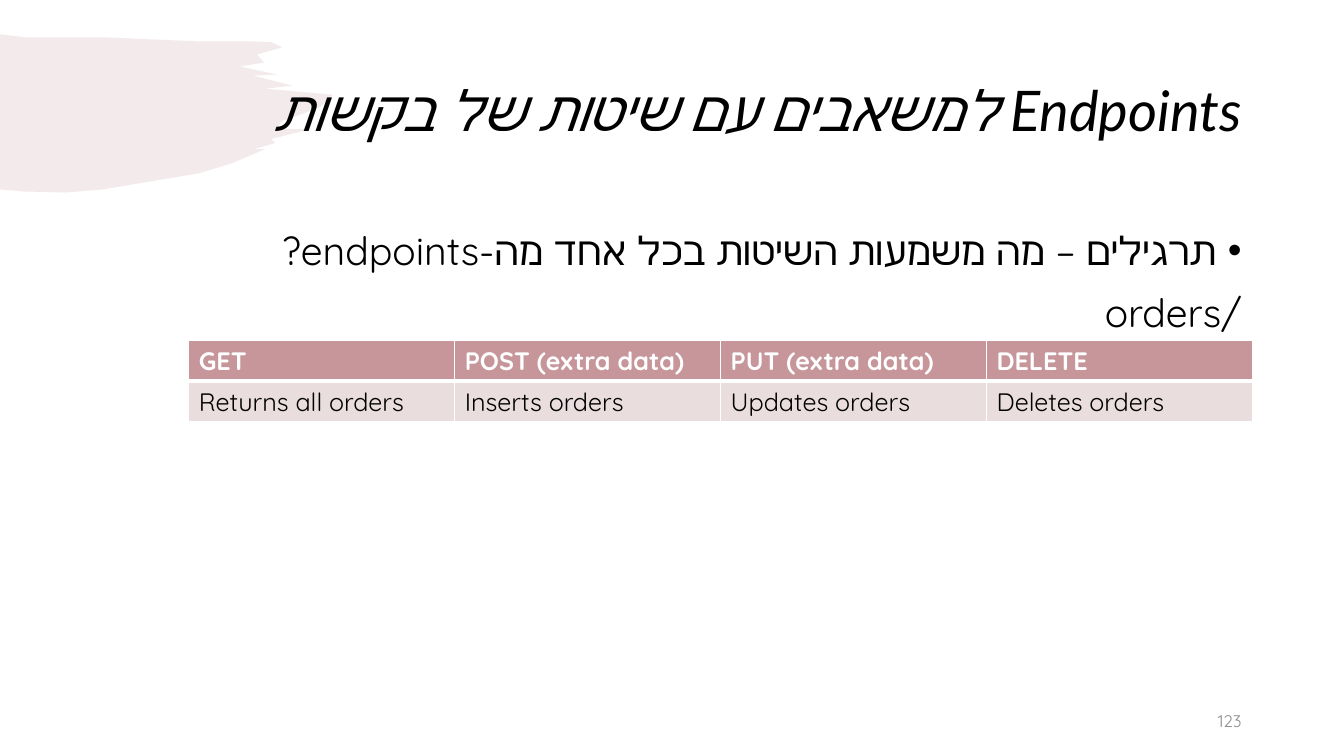
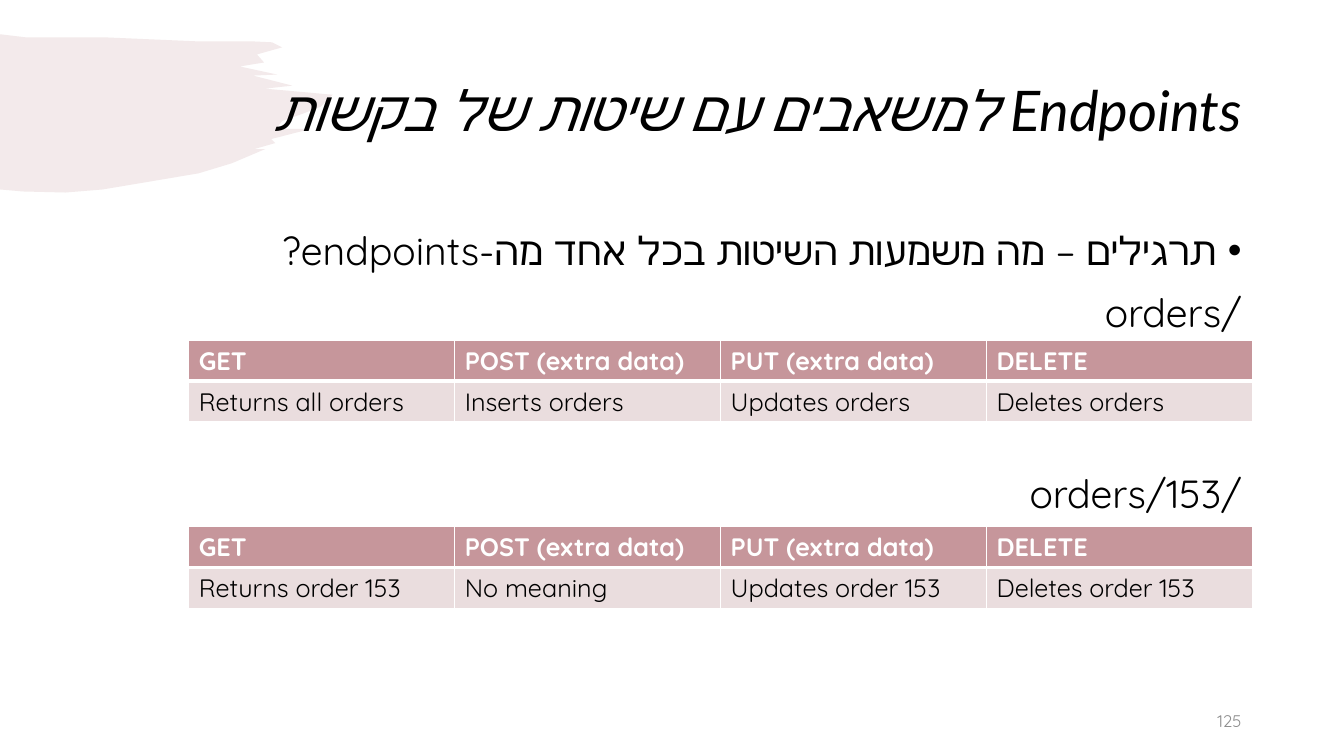
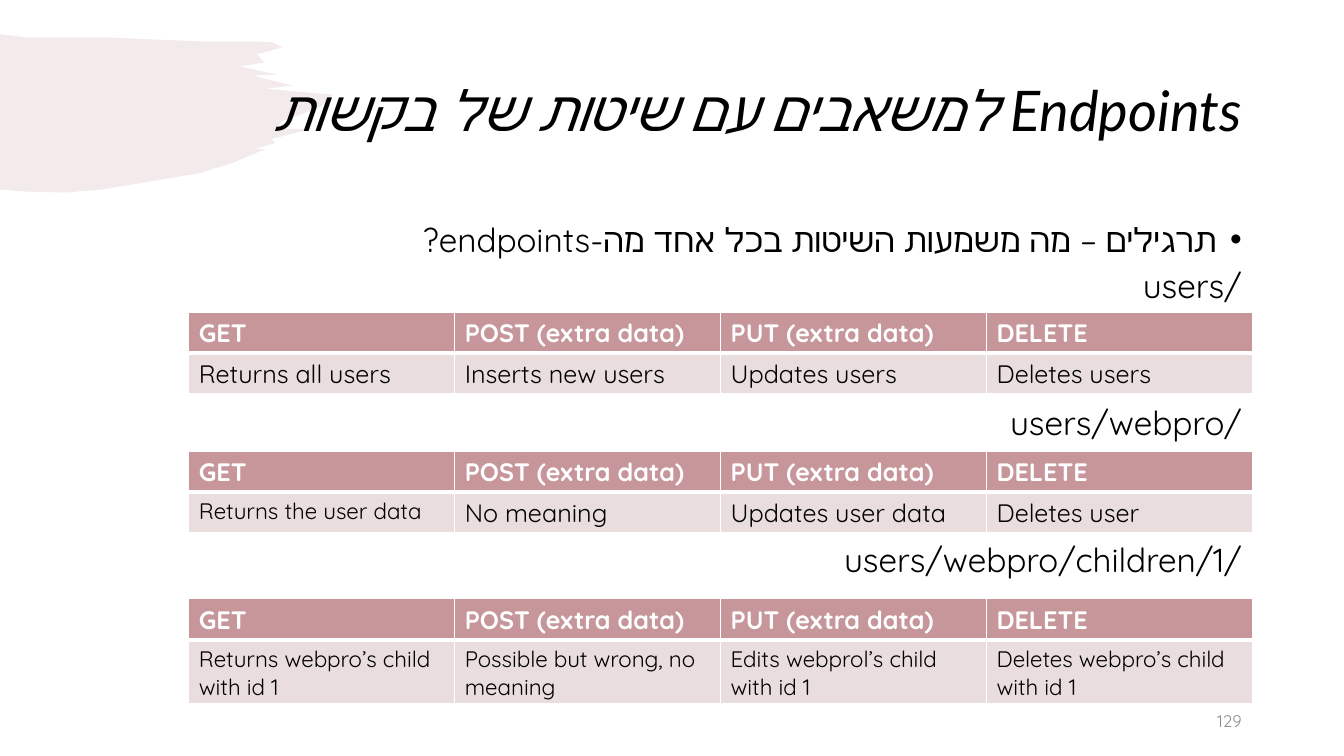
import lxml.etree
import pptx
import pptx.dml.color
import pptx.enum.text
import pptx.oxml.ns
import pptx.util

Cm = pptx.util.Cm
Pt = pptx.util.Pt
RGBColor = pptx.dml.color.RGBColor
ALIGN = pptx.enum.text.PP_ALIGN
ANCHOR = pptx.enum.text.MSO_ANCHOR
qn = pptx.oxml.ns.qn

# Shared look
BLACK = RGBColor(0x00, 0x00, 0x00)
WHITE = RGBColor(0xFF, 0xFF, 0xFF)
GREY = RGBColor(0x8C, 0x8C, 0x8C)
ROSE = RGBColor(0xC6, 0x96, 0x9B)
PALE_ROSE = RGBColor(0xEA, 0xDD, 0xDE)
TITLE_FONT = "Lato"
BODY_FONT = "Quicksand"

# Boxes: left, top, width, height in centimetres
TITLE_BOX = (2.33, 1.01, 29.21, 3.68)
BODY_BOX = (2.33, 5.59, 29.21, 11.56)
NUMBER_BOX = (23.92, 17.65, 7.62, 1.02)
TABLE_LEFT, COLUMN_WIDTH, ROW_HEIGHT = 4.76, 6.7, 1.03

# Shared wording
TITLE = "Endpoints למשאבים עם שיטות של בקשות"
QUESTION = "תרגילים – מה משמעות השיטות בכל אחד מה-endpoints?"
METHODS = ("GET", "POST (extra data)", "PUT (extra data)", "DELETE")

# Brush stroke outline, clockwise, in hundredths of an inch
BRUSH_UNIT = Cm(2.54) / 100
BRUSH_OUTLINE = (
    (0, 34), (25, 37), (102, 37), (194, 41), (248, 41), (270, 42), (280, 47),
    (255, 54), (262, 62), (238, 66), (275, 74), (251, 75), (290, 85), (263, 88),
    (330, 94), (318, 106), (300, 113), (280, 120), (274, 128), (308, 128),
    (269, 138), (273, 142), (252, 148), (263, 148), (230, 162), (197, 172),
    (102, 188), (65, 191), (23, 190), (0, 188),
)


def write_text(paragraph, text, *, font=BODY_FONT, size=18, color=BLACK, bold=False,
               italic=False, align=ALIGN.LEFT, rtl=False, bullet=None,
               space_before=0, line_spacing=None):
    """Fill one paragraph with formatted text."""
    properties = paragraph._p.get_or_add_pPr()
    if rtl:
        properties.set("rtl", "1")
    if bullet:
        properties.set("marL", str(Cm(0.63)))
        properties.set("indent", str(-Cm(0.63)))
        lxml.etree.SubElement(properties, qn("a:buFont"), typeface="Arial")
        lxml.etree.SubElement(properties, qn("a:buChar"), char=bullet)
    paragraph.alignment = align
    if space_before:
        paragraph.space_before = Pt(space_before)
    if line_spacing:
        paragraph.line_spacing = line_spacing
    run = paragraph.add_run()
    run.text = text
    run.font.name = font
    run.font.size = Pt(size)
    run.font.bold = bold
    run.font.italic = italic
    run.font.color.rgb = color
    # Hebrew letters take the complex-script font
    lxml.etree.SubElement(run._r.get_or_add_rPr(), qn("a:cs"), typeface=font)


def add_text_box(slide, box, anchor):
    """Add a wrapping text box and return its text frame."""
    frame = slide.shapes.add_textbox(*map(Cm, box)).text_frame
    frame.word_wrap = True
    frame.vertical_anchor = anchor
    return frame


def add_brush(slide):
    """Draw the pale brush stroke behind the title."""
    start, *others = BRUSH_OUTLINE
    builder = slide.shapes.build_freeform(*start, scale=BRUSH_UNIT)
    builder.add_line_segments(others, close=True)
    brush = builder.convert_to_shape()
    brush.shadow.inherit = False
    brush.line.fill.background()
    brush.fill.solid()
    brush.fill.fore_color.rgb = ROSE
    color = brush._element.spPr.find(".//" + qn("a:srgbClr"))
    lxml.etree.SubElement(color, qn("a:alpha"), val="20000")


def set_borders(cell, bottom):
    """Give a cell white borders, with its own width at the bottom."""
    properties = cell._tc.get_or_add_tcPr()
    for side, width in (("L", 1), ("R", 1), ("T", 1), ("B", bottom)):
        line = lxml.etree.SubElement(properties, qn("a:ln" + side), w=str(Pt(width)))
        fill = lxml.etree.SubElement(line, qn("a:solidFill"))
        lxml.etree.SubElement(fill, qn("a:srgbClr"), val=str(WHITE))


def add_method_table(slide, top, meanings, sizes=(18,) * len(METHODS),
                     meaning_height=ROW_HEIGHT):
    """Add a table of request methods and their meanings."""
    table = slide.shapes.add_table(
        2, len(METHODS), Cm(TABLE_LEFT), Cm(top),
        Cm(COLUMN_WIDTH * len(METHODS)), Cm(ROW_HEIGHT + meaning_height)).table
    for column in table.columns:
        column.width = Cm(COLUMN_WIDTH)
    header = (METHODS, (18,) * len(METHODS), ROW_HEIGHT, ROSE, WHITE, True, 3)
    body = (meanings, sizes, meaning_height, PALE_ROSE, BLACK, False, 1)
    for row, (texts, text_sizes, height, fill, color, bold, bottom) in zip(
            table.rows, (header, body)):
        row.height = Cm(height)
        for cell, text, size in zip(row.cells, texts, text_sizes):
            set_borders(cell, bottom)
            cell.fill.solid()
            cell.fill.fore_color.rgb = fill
            write_text(cell.text_frame.paragraphs[0], text, size=size, color=color, bold=bold)


def add_body(slide, endpoints, gap, size, line_spacing):
    """Write the question and, under it, the endpoints spread by a gap."""
    frame = add_text_box(slide, BODY_BOX, ANCHOR.TOP)
    style = dict(size=size, line_spacing=line_spacing, align=ALIGN.RIGHT, rtl=True)
    write_text(frame.paragraphs[0], QUESTION, bullet="•", **style)
    for index, endpoint in enumerate(endpoints):
        write_text(frame.add_paragraph(), endpoint,
                   space_before=gap if index else 10, **style)


def add_exercise(presentation, number, endpoints, tables, gap=96, size=28, line_spacing=None):
    """Build one exercise slide."""
    slide = presentation.slides.add_slide(presentation.slide_layouts[6])
    add_brush(slide)
    write_text(add_text_box(slide, TITLE_BOX, ANCHOR.MIDDLE).paragraphs[0], TITLE,
               font=TITLE_FONT, size=40, italic=True, align=ALIGN.RIGHT, rtl=True,
               line_spacing=0.9)
    add_body(slide, endpoints, gap, size, line_spacing)
    write_text(add_text_box(slide, NUMBER_BOX, ANCHOR.MIDDLE).paragraphs[0], str(number),
               size=12, color=GREY, align=ALIGN.RIGHT)
    for table in tables:
        add_method_table(slide, **table)


def main():
    presentation = pptx.Presentation()
    presentation.slide_width = Cm(33.87)
    presentation.slide_height = Cm(19.05)

    # Orders
    all_orders = dict(top=8.57, meanings=(
        "Returns all orders", "Inserts orders", "Updates orders", "Deletes orders"))
    one_order = dict(top=13.27, meanings=(
        "Returns order 153", "No meaning", "Updates order 153", "Deletes order 153"))
    add_exercise(presentation, 123, ["/orders"], [all_orders])
    add_exercise(presentation, 125, ["/orders", "/orders/153"], [all_orders, one_order])

    # Users
    all_users = dict(top=7.86, meanings=(
        "Returns all users", "Inserts new users", "Updates users", "Deletes users"))
    one_user = dict(top=11.37, sizes=(16, 18, 18, 18), meanings=(
        "Returns the user data", "No meaning", "Updates user data", "Deletes user"))
    one_child = dict(top=15.09, sizes=(16,) * len(METHODS), meaning_height=1.61, meanings=(
        "Returns webpro’s child with id 1", "Possible but wrong, no meaning",
        "Edits webprol’s child with id 1", "Deletes webpro’s child with id 1"))
    add_exercise(presentation, 129, ["/users", "/users/webpro", "/users/webpro/children/1"],
                 [all_users, one_user, one_child], gap=75, size=23.8, line_spacing=0.8)

    presentation.save("out.pptx")


if __name__ == "__main__":
    main()
